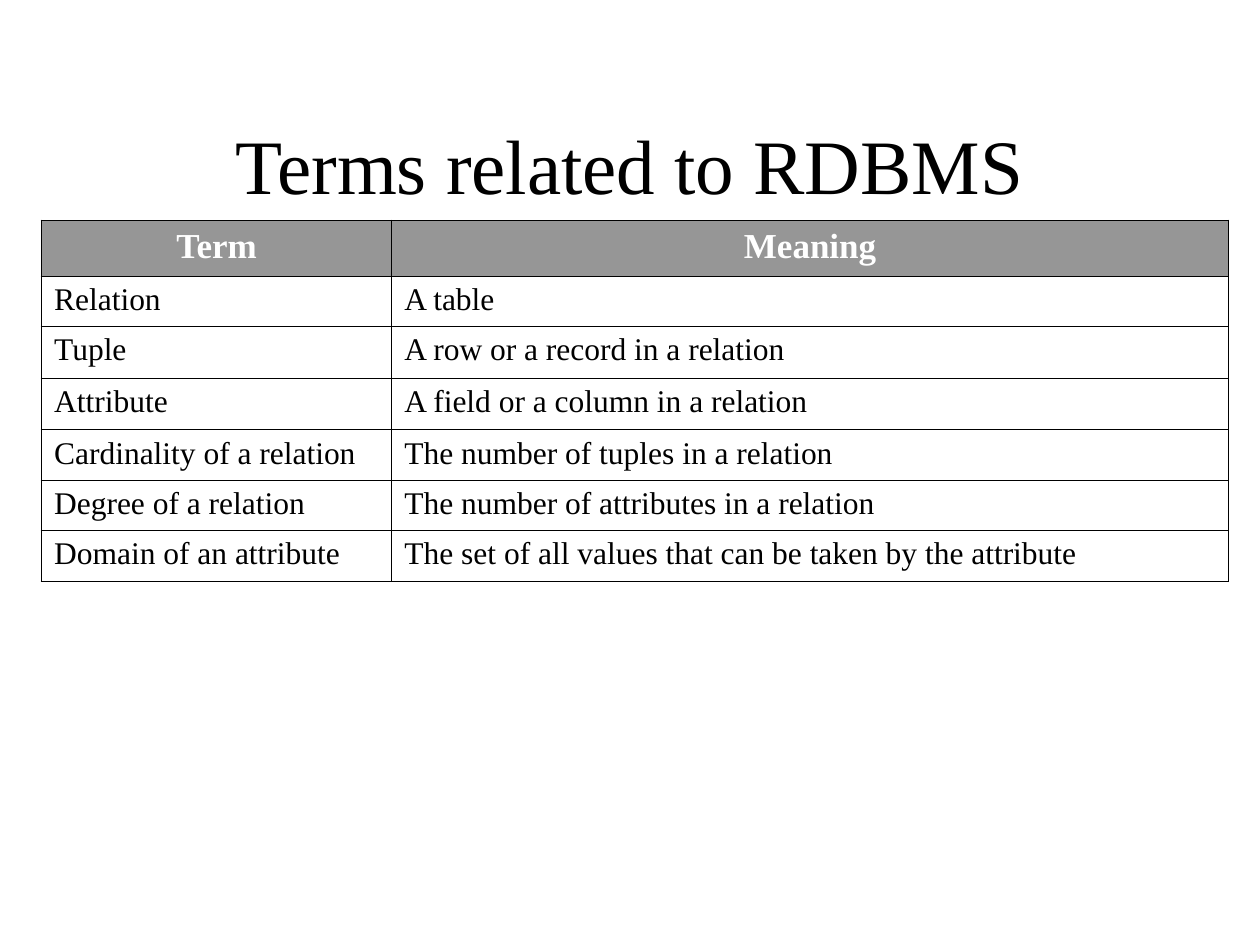
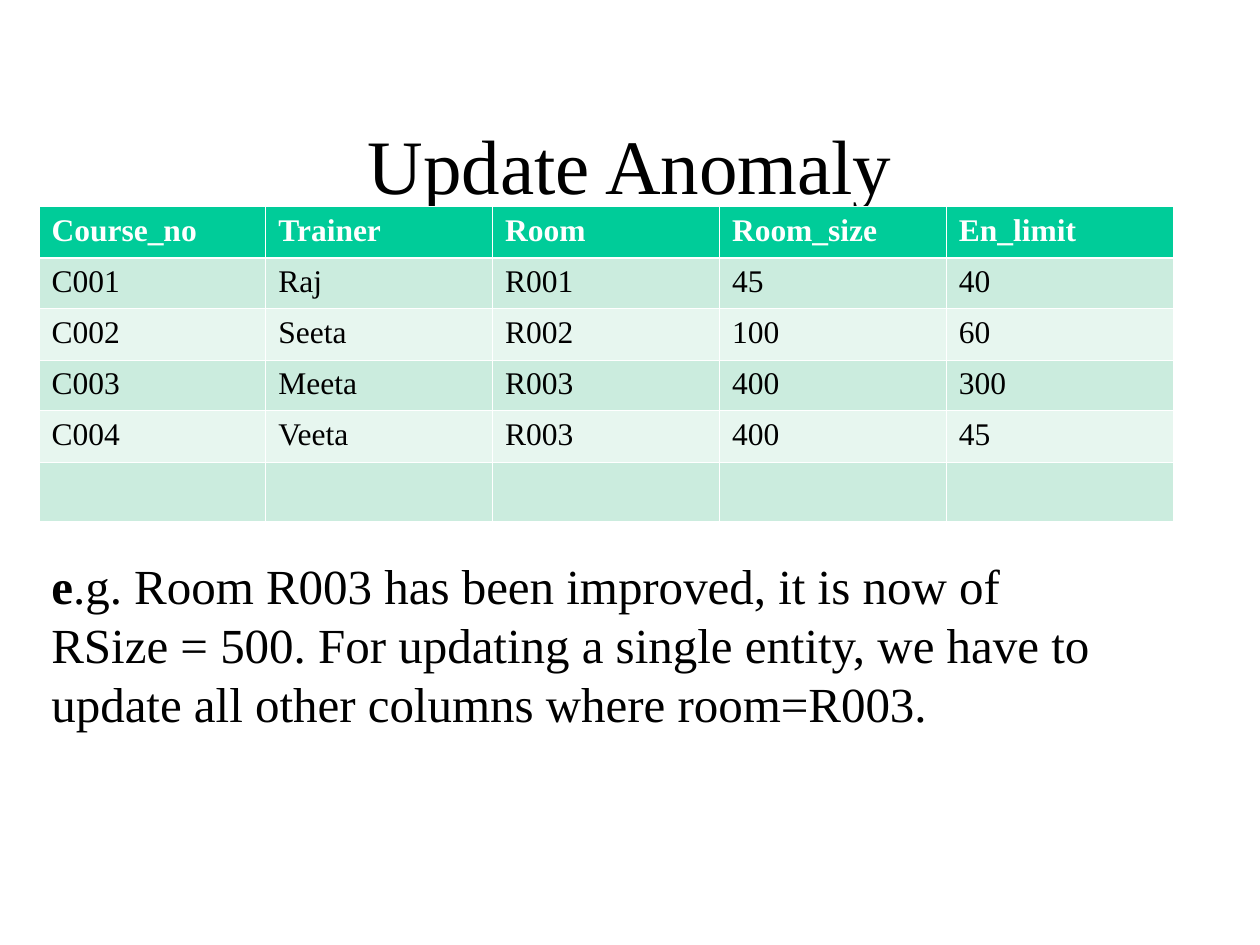
from dataclasses import dataclass
from typing import Optional

from lxml.etree import SubElement as Sub
from pptx import Presentation
from pptx.dml.color import RGBColor as Rgb
from pptx.enum.text import MSO_ANCHOR as Anchor, MSO_AUTO_SIZE as Fit, PP_ALIGN as Align
from pptx.oxml.ns import qn
from pptx.util import Pt

# Shared look
SCALE = 9144  # EMU per px, 100 px to the inch
FACE = "Times New Roman"
BLACK, WHITE, GREY = "000000", "FFFFFF", "969696"
GREEN, MINT, PALE = "00CC99", "CBECDE", "E7F6EF"
THIN = 0.45


@dataclass
class Box:
    left: int
    top: int
    width: int
    height: int

    def emu(self) -> list[int]:
        return [n * SCALE for n in (self.left, self.top, self.width, self.height)]


@dataclass
class Grid:
    left: int
    top: int
    cols: list[int]
    rows: list[int]
    cells: list[list[str]]
    head: str  # fill of the first row
    bands: list[Optional[str]]  # fills the other rows take in turn
    line: str
    edge: float = THIN  # left, top and right outer lines, in points
    rule: float = THIN  # line below the first row, in points
    size: int = 18
    align: Align = Align.LEFT


TITLE = Box(75, 67, 850, 125)
NOTE = Box(31, 436, 867, 197)

TERMS = Grid(
    33, 175, [278, 664], [44, 40, 41, 41, 40, 40, 40],
    [
        ["Term", "Meaning"],
        ["Relation", "A table"],
        ["Tuple", "A row or a record in a relation"],
        ["Attribute", "A field or a column in a relation"],
        ["Cardinality of a relation", "The number of tuples in a relation"],
        ["Degree of a relation", "The number of attributes in a relation"],
        ["Domain of an attribute", "The set of all values that can be taken by the attribute"],
    ],
    GREY, [None], BLACK, edge=1.08, size=20, align=Align.CENTER,
)

ROOMS = Grid(
    31, 164, [180] * 5, [41, 40, 41, 40, 41, 47],
    [
        ["Course_no", "Trainer", "Room", "Room_size", "En_limit"],
        ["C001", "Raj", "R001", "45", "40"],
        ["C002", "Seeta", "R002", "100", "60"],
        ["C003", "Meeta", "R003", "400", "300"],
        ["C004", "Veeta", "R003", "400", "45"],
        [""] * 5,
    ],
    GREEN, [MINT, PALE], WHITE, rule=1.47,
)


def tint(code: str) -> Rgb:
    return Rgb.from_string(code)


def style(run, size: int, code: str = BLACK, bold: bool = False) -> None:
    font = run.font
    font.name, font.size, font.bold = FACE, Pt(size), bold
    font.color.rgb = tint(code)


def add_title(slide, text: str) -> None:
    frame = slide.shapes.add_textbox(*TITLE.emu()).text_frame
    frame.word_wrap = True
    frame.vertical_anchor = Anchor.MIDDLE
    frame.text = text
    para = frame.paragraphs[0]
    para.alignment = Align.CENTER
    style(para.runs[0], 44)


def add_note(slide, lead: str, rest: str) -> None:
    frame = slide.shapes.add_textbox(*NOTE.emu()).text_frame
    frame.word_wrap = True
    frame.auto_size = Fit.SHAPE_TO_FIT_TEXT
    frame.text = lead
    para = frame.paragraphs[0]
    style(para.runs[0], 28, bold=True)
    tail = para.add_run()
    tail.text = rest
    style(tail, 28)


def add_lines(cell, code: str, widths: dict[str, float]) -> None:
    props = cell._tc.get_or_add_tcPr()
    for side, width in widths.items():
        line = Sub(props, qn(f"a:ln{side}"), w=str(Pt(width)))
        fill = Sub(line, qn("a:solidFill"))
        Sub(fill, qn("a:srgbClr"), val=code)


def add_grid(slide, grid: Grid) -> None:
    box = Box(grid.left, grid.top, sum(grid.cols), sum(grid.rows))
    table = slide.shapes.add_table(len(grid.rows), len(grid.cols), *box.emu()).table
    table.horz_banding = False
    for col, width in zip(table.columns, grid.cols):
        col.width = width * SCALE
    for row, height in zip(table.rows, grid.rows):
        row.height = height * SCALE

    last = len(grid.cols) - 1
    for r, texts in enumerate(grid.cells):
        first = r == 0
        shade = grid.head if first else grid.bands[(r - 1) % len(grid.bands)]
        for c, text in enumerate(texts):
            cell = table.cell(r, c)
            # Lines come before the fill in the cell's XML
            add_lines(cell, grid.line, {
                "L": grid.edge if c == 0 else THIN,
                "R": grid.edge if c == last else THIN,
                "T": grid.edge if first else grid.rule if r == 1 else THIN,
                "B": grid.rule if first else THIN,
            })
            if shade:
                cell.fill.solid()
                cell.fill.fore_color.rgb = tint(shade)
            else:
                cell.fill.background()
            cell.text_frame.text = text
            para = cell.text_frame.paragraphs[0]
            para.alignment = grid.align if first else Align.LEFT
            for run in para.runs:
                style(run, grid.size if first else 18, WHITE if first else BLACK, first)


def main() -> None:
    deck = Presentation()
    deck.slide_width, deck.slide_height = 1000 * SCALE, 750 * SCALE
    blank = deck.slide_layouts[6]

    # Slide 1: terms
    slide = deck.slides.add_slide(blank)
    add_title(slide, "Terms related to RDBMS")
    add_grid(slide, TERMS)

    # Slide 2: update anomaly
    slide = deck.slides.add_slide(blank)
    add_title(slide, "Update Anomaly")
    add_grid(slide, ROOMS)
    add_note(slide, "e", ".g. Room R003 has been improved, it is now of RSize = 500. "
             "For updating a single entity, we have to update all other columns where room=R003.")

    deck.save("out.pptx")


if __name__ == "__main__":
    main()
